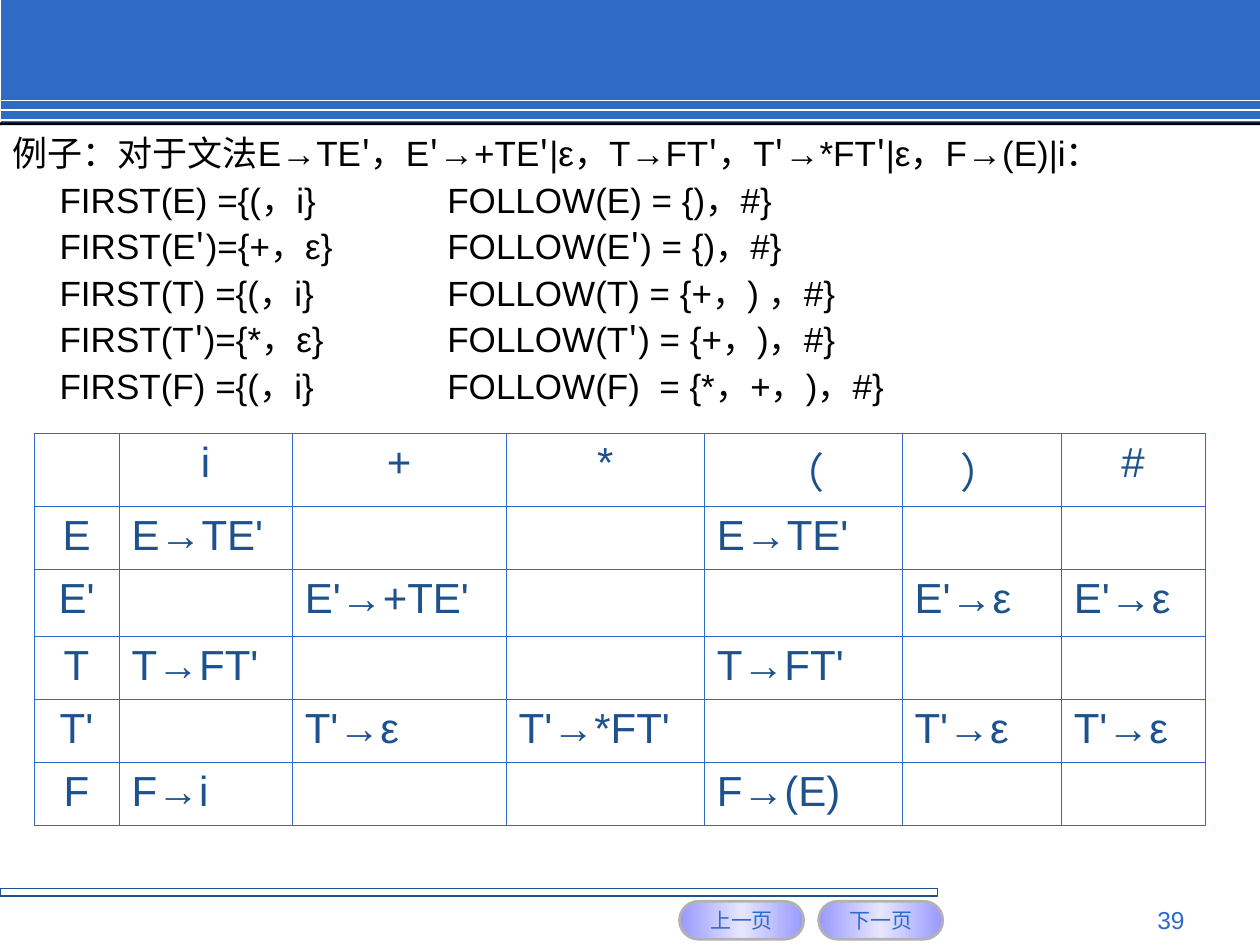
import copy
import dataclasses
import itertools

import lxml.etree
import pptx
import pptx.dml.color
import pptx.enum.shapes
import pptx.enum.text
import pptx.oxml
import pptx.oxml.ns
import pptx.util

Pt = pptx.util.Pt
qn = pptx.oxml.ns.qn
Kind = pptx.enum.shapes.MSO_SHAPE
Align = pptx.enum.text.PP_ALIGN
Anchor = pptx.enum.text.MSO_ANCHOR


@dataclasses.dataclass(frozen=True)
class Theme:
    blue: str = "2D6BC7"
    navy: str = "1D528D"
    black: str = "000000"
    white: str = "FFFFFF"
    gray: str = "B2B2B2"
    lilac: str = "9999FF"
    pale: str = "E6E6FF"
    font: str = "Arial"
    asian: str = "Noto Sans CJK KR"
    small: int = 12
    page: int = 14
    body: int = 20
    cell: int = 24


def color(code):
    return pptx.dml.color.RGBColor.from_string(code)


def write(par, text, size, ink, font, asian, align=Align.LEFT, mark=False):
    par.alignment = align
    groups = itertools.groupby(text, lambda c: c if mark and c in "'→" else "")
    for key, chars in groups:
        run = par.add_run()
        run.text = "".join(chars)
        run.font.size = Pt(size)
        run.font.bold = key == "→"
        run.font.color.rgb = color(ink)
        run.font.name = asian if key == "'" else font
        east = lxml.etree.Element(qn("a:ea"), typeface=asian)
        run.font._element.find(qn("a:latin")).addnext(east)


class Deck:
    def __init__(self, theme):
        self.theme = theme
        self.file = pptx.Presentation()
        self.file.slide_width, self.file.slide_height = Pt(720), Pt(540)
        self.slide = self.file.slides.add_slide(self.file.slide_layouts[6])

    def text(self, par, words, size, ink, **form):
        write(par, words, size, ink, self.theme.font, self.theme.asian, **form)

    def shape(self, kind, box, fill=None, line=None, width=0.75):
        item = self.slide.shapes.add_shape(kind, *map(Pt, box))
        item.shadow.inherit = False
        if fill:
            item.fill.solid()
            item.fill.fore_color.rgb = color(fill)
        else:
            item.fill.background()
        if line:
            item.line.color.rgb = color(line)
            item.line.width = Pt(width)
        else:
            item.line.fill.background()
        return item

    def rule(self, y):
        line = self.slide.shapes.add_connector(
            pptx.enum.shapes.MSO_CONNECTOR.STRAIGHT, Pt(0), Pt(y), Pt(720), Pt(y))
        line.line.color.rgb = color(self.theme.white)
        line.line.width = Pt(1)
        lxml.etree.SubElement(line._element.spPr, qn("a:effectLst"))

    def button(self, box, label):
        look = self.theme
        item = self.shape(Kind.ROUNDED_RECTANGLE, box, line=look.gray, width=1.5)
        item.adjustments[0] = 0.5
        item.fill.gradient()
        item.fill.gradient_angle = 0
        stops = item._element.spPr.find(qn("a:gradFill")).find(qn("a:gsLst"))
        stops.insert(1, copy.deepcopy(stops[0]))
        tones = (look.lilac, look.pale, look.lilac)
        for stop, tone, place in zip(item.fill.gradient_stops, tones, (0, 0.5, 1)):
            stop.color.rgb = color(tone)
            stop.position = place
        frame = item.text_frame
        frame.word_wrap = False
        frame.vertical_anchor = Anchor.MIDDLE
        self.text(frame.paragraphs[0], label, look.small, look.blue, align=Align.CENTER)

    def frame(self, box):
        frame = self.slide.shapes.add_textbox(*map(Pt, box)).text_frame
        frame.word_wrap = True
        return frame

    def number(self, box, label):
        par = self.frame(box).paragraphs[0]
        self.text(par, label, self.theme.page, self.theme.blue, align=Align.RIGHT)

    def body(self, box, lines):
        frame = self.frame(box)
        frame.margin_top = Pt(3.6)
        for i, line in enumerate(lines):
            par = frame.add_paragraph() if i else frame.paragraphs[0]
            par.line_spacing = Pt(21.6)
            par.space_before = Pt(5 if i else 0)
            props = par._p.get_or_add_pPr()
            props.set("marL", str(Pt(27)))
            props.set("indent", str(-Pt(27)))
            props.set("defTabSz", str(Pt(72)))
            tabs = lxml.etree.SubElement(props, qn("a:tabLst"))
            for n in range(8):
                lxml.etree.SubElement(tabs, qn("a:tab"), pos=str(Pt(72 * n)), algn="l")
            self.text(par, line, self.theme.body, self.theme.black, mark=True)

    def border(self, cell):
        props = cell._tc.get_or_add_tcPr()
        for i, side in enumerate(("a:lnL", "a:lnR", "a:lnT", "a:lnB")):
            line = lxml.etree.Element(qn(side), w=str(Pt(0.45)))
            fill = lxml.etree.SubElement(line, qn("a:solidFill"))
            lxml.etree.SubElement(fill, qn("a:srgbClr"), val=self.theme.blue)
            props.insert(i, line)

    def table(self, box, wide, high, rows):
        grid = self.slide.shapes.add_table(len(high), len(wide), *map(Pt, box)).table
        grid.first_row = grid.horz_banding = False
        for col, width in zip(grid.columns, wide):
            col.width = Pt(width)
        for row, height in zip(grid.rows, high):
            row.height = Pt(height)
        for r, row in enumerate(rows):
            for c, words in enumerate(row):
                cell = grid.cell(r, c)
                cell.fill.background()
                self.border(cell)
                if words:
                    align = Align.LEFT if r and c else Align.CENTER
                    self.text(cell.text_frame.paragraphs[0], words,
                              self.theme.cell, self.theme.navy, align=align)


def main():
    look = Theme()
    deck = Deck(look)
    deck.shape(Kind.RECTANGLE, (0.75, 0, 719.25, 71.25), look.blue)
    for y in (57.5, 63, 68.5):
        deck.rule(y)
    deck.shape(Kind.RECTANGLE, (0, 70, 720, 1.5), look.black)
    deck.shape(Kind.RECTANGLE, (0, 507.75, 535.75, 4.25), line=look.navy)
    for i, label in enumerate(("上一页", "下一页")):
        deck.button((388.25 + 79.5 * i, 515, 71, 21.75), label)
    deck.body((0, 74, 720, 430.5), (
        "例子：对于文法E→TE'，E'→+TE'|ε，T→FT'，T'→*FT'|ε，F→(E)|i：",
        "\tFIRST(E) ={(，i}\t FOLLOW(E) = {)，#}",
        "\tFIRST(E')={+，ε}\t FOLLOW(E') = {)，#}",
        "\tFIRST(T) ={(，i}\t FOLLOW(T) = {+，) ，#}",
        "\tFIRST(T')={*，ε}\t FOLLOW(T') = {+，)，#}",
        "\tFIRST(F) ={(，i}\t FOLLOW(F)  = {*，+，)，#}",
    ))
    deck.number((516, 513.5, 168, 19.5), "39")
    wide = (48.5, 99, 122.25, 113.25, 113, 91, 82.25)
    high = (41.75, 36, 38.25, 36, 36, 36)
    deck.table((19.5, 247.5, sum(wide), sum(high)), wide, high, (
        ("", "i", "+", "*", "（", "）", "#"),
        ("E", "E→TE'", "", "", "E→TE'", "", ""),
        ("E'", "", "E'→+TE'", "", "", "E'→ε", "E'→ε"),
        ("T", "T→FT'", "", "", "T→FT'", "", ""),
        ("T'", "", "T'→ε", "T'→*FT'", "", "T'→ε", "T'→ε"),
        ("F", "F→i", "", "", "F→(E)", "", ""),
    ))
    deck.file.save("out.pptx")


if __name__ == "__main__":
    main()
